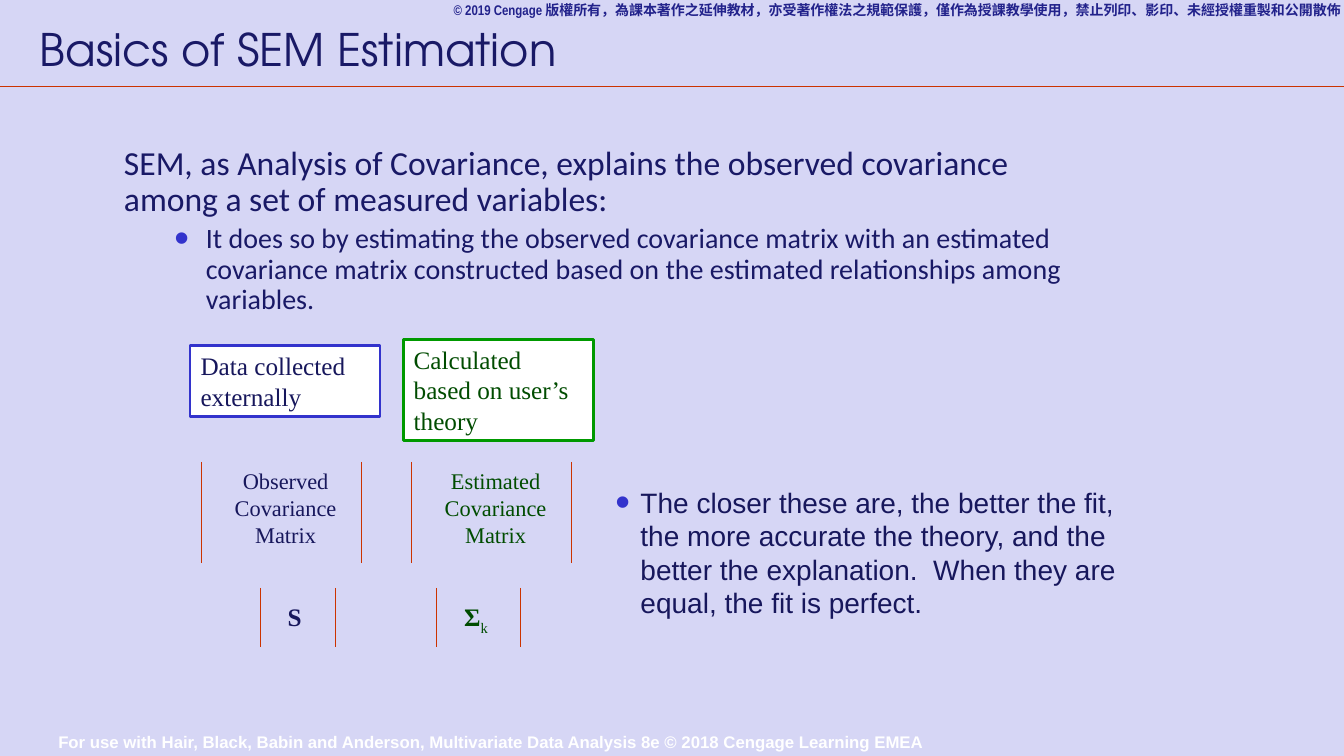
from lxml import etree
from pptx import Presentation
from pptx.dml.color import RGBColor
from pptx.enum.shapes import MSO_CONNECTOR, MSO_SHAPE
from pptx.enum.text import MSO_ANCHOR, PP_ALIGN
from pptx.oxml.ns import qn
from pptx.util import Pt

PX = 9525
RECT = MSO_SHAPE.RECTANGLE
STRAIGHT = MSO_CONNECTOR.STRAIGHT
TOP, MIDDLE = MSO_ANCHOR.TOP, MSO_ANCHOR.MIDDLE
LEFT, CENTER = PP_ALIGN.LEFT, PP_ALIGN.CENTER

LILAC = RGBColor(0xD6, 0xD6, 0xF5)
WHITE = RGBColor(0xFF, 0xFF, 0xFF)
RED = RGBColor(0xCC, 0x33, 0x00)
BLUE = RGBColor(0x33, 0x33, 0xCC)
GREEN = RGBColor(0x00, 0x99, 0x00)
NAVY = RGBColor(0x19, 0x19, 0x66)
INK = RGBColor(0x17, 0x17, 0x5C)
PINE = RGBColor(0x00, 0x4C, 0x00)
INDIGO = RGBColor(0x22, 0x22, 0x8B)
SERIF = "Times New Roman"


def px(*nums):
    """Turn pixel lengths into EMU."""
    return [n * PX for n in nums]


def style(font, color, **looks):
    """Set the colour and other looks of a font."""
    for key, val in looks.items():
        setattr(font, key, val)
    font.color.rgb = color


def bullet(para, left, hang):
    """Give a paragraph a large blue bullet with a hanging indent."""
    props = para._p.get_or_add_pPr()
    props.set("marL", str(left * PX))
    props.set("indent", str(-hang * PX))
    color = etree.SubElement(props, qn("a:buClr"))
    etree.SubElement(color, qn("a:srgbClr"), val=str(BLUE))
    etree.SubElement(props, qn("a:buSzPct"), val="150000")
    etree.SubElement(props, qn("a:buFont"), typeface="Arial")
    etree.SubElement(props, qn("a:buChar"), char="•")


def frame(shape, anchor=TOP, pad=5, wrap=True):
    """Set up the text frame of a shape and return it."""
    body = shape.text_frame
    looks = {"word_wrap": wrap, "vertical_anchor": anchor,
             "margin_left": 10 * PX, "margin_right": 10 * PX,
             "margin_top": pad * PX, "margin_bottom": pad * PX}
    for key, val in looks.items():
        setattr(body, key, val)
    return body


def label(shapes, box, text, color, size, name, bold=False,
          align=LEFT, **setup):
    """Add a text box with one paragraph and return the paragraph."""
    para = frame(shapes.add_textbox(*px(*box)), **setup).paragraphs[0]
    para.alignment = align
    run = para.add_run()
    run.text = text
    style(run.font, color, size=Pt(size), name=name, bold=bold)
    return para


def rule(shapes, x, y, w, h):
    """Draw a thin red line across the given box."""
    line = shapes.add_connector(STRAIGHT, *px(x, y, x + w, y + h))
    line.line.color.rgb = RED
    line.line.width = Pt(0.75)
    etree.SubElement(line._element.spPr, qn("a:effectLst"))


def header(shapes, x, y, w, h):
    """Place the copyright line, the title and the rule below them."""
    label(shapes, (x + 422, y - 4, 961, 26),
          "© 2019 Cengage版權所有，為課本著作之延伸教材，亦受著作權法之規範保護，"
          "僅作為授課教學使用，禁止列印、影印、未經授權重製和公開散佈",
          INDIGO, 10, "Arial Narrow", bold=True, wrap=False)
    label(shapes, (x + 28, y + 13, 1201, 67), "Basics of SEM Estimation",
          NAVY, 32, "TeX Gyre Adventor", anchor=MIDDLE)
    rule(shapes, x, y + h, w, 0)


def intro(shapes, *box):
    """Place the opening statement and its bulleted detail."""
    body = frame(shapes.add_textbox(*px(*box)), MIDDLE, 24)
    lead, more = body.paragraphs[0], body.add_paragraph()
    more.level = 1
    bullet(more, 78, 30)
    lead.text = ("SEM, as Analysis of Covariance, explains the observed "
                 "covariance among a set of measured variables:")
    more.text = ("It does so by estimating the observed covariance matrix "
                 "with an estimated covariance matrix constructed based on "
                 "the estimated relationships among variables.")
    more.space_before = Pt(4)
    for para, size in ((lead, 24), (more, 20)):
        para.line_spacing = 0.9
        style(para.runs[0].font, NAVY, size=Pt(size), name="Calibri")


def card(shapes, box, text, edge, color):
    """Draw a white framed box that tells where a matrix comes from."""
    shape = shapes.add_shape(RECT, *px(*box))
    shape.shadow.inherit = False
    shape.fill.solid()
    shape.fill.fore_color.rgb = WHITE
    shape.line.color.rgb = edge
    shape.line.width = Pt(2)
    para = frame(shape).paragraphs[0]
    para.text = text
    para.alignment = LEFT
    style(para.runs[0].font, color, size=Pt(18), name=SERIF)


def barred(shapes, box, inner, text, color, size, **looks):
    """Set text between two upright bars and return its paragraph."""
    x, y, w, h = box
    for side in (x, x + w):
        rule(shapes, side, y, 0, h)
    drop, wide, high = inner
    return label(shapes, (x + 16, y + drop, wide, high), text, color,
                 size, SERIF, **looks)


def matrices(shapes, x, y):
    """Place both matrix sources, names and symbols."""
    card(shapes, (x + 203, y, 181, 97),
         "Calculated based on user’s theory", GREEN, PINE)
    card(shapes, (x, y + 6, 181, 68), "Data collected externally", BLUE, INK)
    names = shapes.add_group_shape().shapes
    signs = shapes.add_group_shape().shapes
    cols = ((11, "Observed", 67, 72, "S", INK),
            (211, "Estimated", 235, 80, "Σ", PINE))
    for left, name, start, wide, sign, color in cols:
        barred(names, (x + left, y + 117, 152, 96), (0, 128, 86),
               f"{name} Covariance Matrix", color, 16, align=CENTER)
        para = barred(signs, (x + start, y + 237, wide, 56), (8, 48, 38),
                      sign, color, 18, bold=True)
    sub = para.add_run()
    sub.text = "k"
    style(sub.font, PINE, size=Pt(18), name=SERIF, bold=False)
    sub.font._element.set("baseline", "-25000")


def verdict(shapes, *box):
    """Place the bulleted conclusion."""
    para = label(shapes, box,
                 "The closer these are, the better the fit, the more accurate "
                 "the theory, and the better the explanation.  When they are "
                 "equal, the fit is perfect.",
                 INK, 20, "Arial", anchor=MIDDLE, pad=14)
    bullet(para, 24, 24)


def footer(shapes, *box):
    """Place the source line at the foot."""
    label(shapes, box,
          "For use with Hair, Black, Babin and Anderson, Multivariate Data "
          "Analysis 8e © 2018 Cengage Learning EMEA",
          WHITE, 12, "Arial", bold=True, align=CENTER, anchor=MIDDLE)


def main():
    """Build the slide and save it."""
    deck = Presentation()
    deck.slide_width, deck.slide_height = px(1280, 720)
    slide = deck.slides.add_slide(deck.slide_layouts[6])
    slide.background.fill.solid()
    slide.background.fill.fore_color.rgb = LILAC
    shapes = slide.shapes
    header(shapes, 0, 0, 1280, 82)
    intro(shapes, 108, 114, 935, 212)
    matrices(shapes, 181, 323)
    verdict(shapes, 576, 447, 511, 158)
    footer(shapes, -37, 692, 1010, 28)
    deck.save("out.pptx")


if __name__ == "__main__":
    main()
